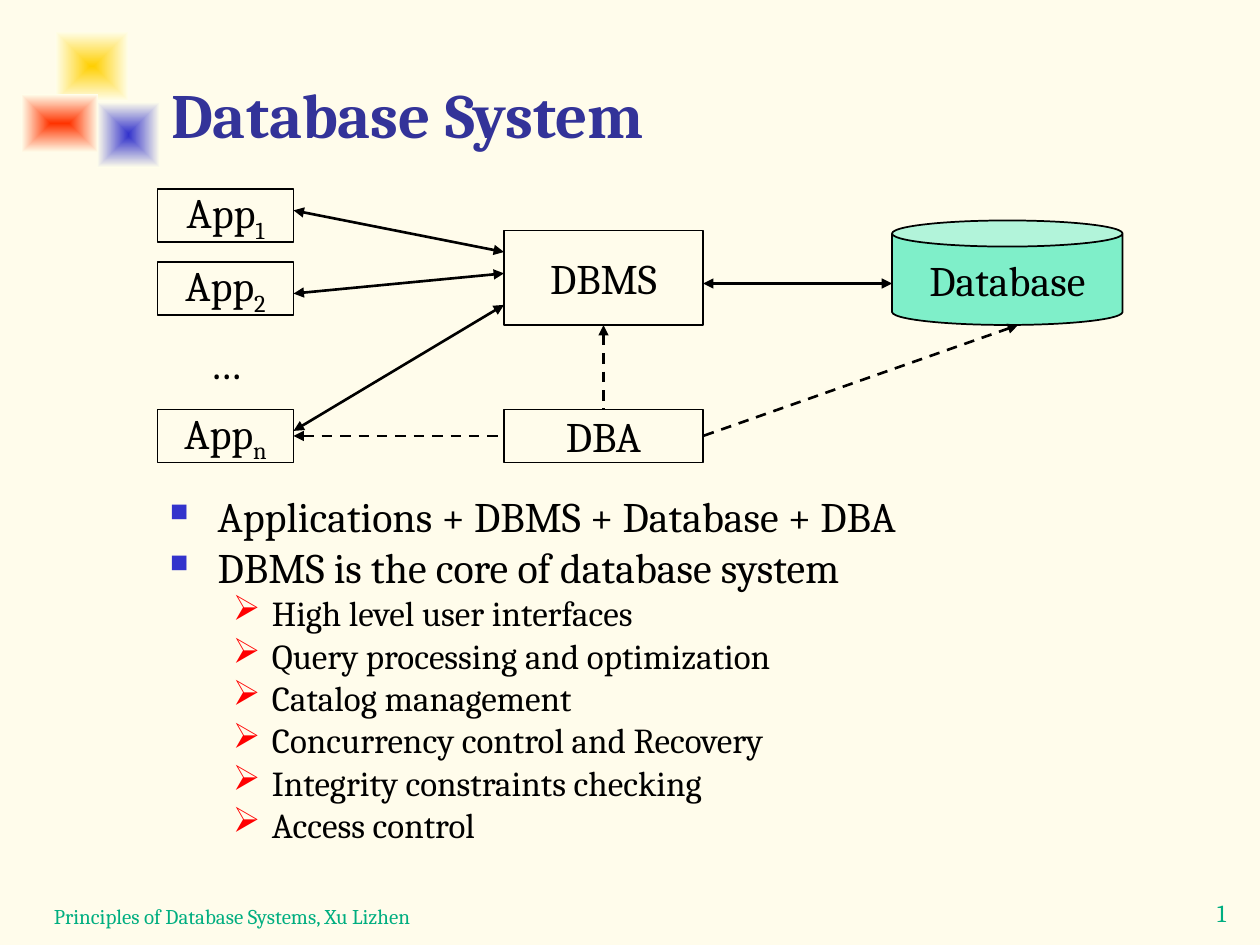
from lxml.etree import SubElement
from pptx import Presentation
from pptx.dml.color import RGBColor
from pptx.enum.dml import MSO_LINE
from pptx.enum.shapes import MSO_CONNECTOR, MSO_SHAPE as SHAPE
from pptx.enum.text import MSO_ANCHOR as ANCHOR, PP_ALIGN as ALIGN
from pptx.oxml.ns import qn
from pptx.util import Inches, Pt

COLORS = {
    "background": "FFFCEB", "fade": "FFFEEB", "yellow": "FFCF01",
    "blue": "3333CC", "red": "FF3300", "title": "333399", "footer": "00AE80",
    "text": "000000", "marker": "FF0000", "database": "00E4A8",
}
FONT = "Cambria"
TOP, LEFT, BOTTOM, RIGHT = range(4)


def color(name):
    return RGBColor.from_string(COLORS[name])


def add_xml(parent, tag, **attributes):
    return SubElement(parent, qn(tag), attributes)


def write(paragraph, text, size=24, ink="text", bold=False, subscript=False):
    run = paragraph.add_run()
    run.text = text
    run.font.name, run.font.size, run.font.bold = FONT, Pt(size), bold
    run.font.color.rgb = color(ink)
    if subscript:
        run.font._element.set("baseline", "-25000")


class SlideBuilder:
    line_width = Pt(1)
    arrow_width = Pt(1.5)

    def __init__(self, slide):
        self.slide = slide
        slide.background.fill.solid()
        slide.background.fill.fore_color.rgb = color("background")

    def text(self, box, text="", anchor=ANCHOR.TOP, align=ALIGN.LEFT, wrap=True, **style):
        frame = self.slide.shapes.add_textbox(*map(Inches, box)).text_frame
        frame.word_wrap, frame.vertical_anchor = wrap, anchor
        frame.paragraphs[0].alignment = align
        if text:
            write(frame.paragraphs[0], text, **style)
        return frame

    def shape(self, kind, box):
        shape = self.slide.shapes.add_shape(kind, *map(Inches, box))
        shape.shadow.inherit = False
        return shape

    def glow(self, box, center):
        square = self.shape(SHAPE.RECTANGLE, box)
        square.line.fill.background()
        square.fill.gradient()
        for stop, name in zip(square.fill.gradient_stops, (center, "fade")):
            stop.color.rgb = color(name)
        gradient = square._element.spPr.find(qn("a:gradFill"))
        gradient.remove(gradient.find(qn("a:lin")))
        rings = add_xml(gradient, "a:path", path="rect")
        add_xml(rings, "a:fillToRect", l="50000", t="50000", r="50000", b="50000")

    def node(self, box, label, subscript="", kind=SHAPE.RECTANGLE, fill=None):
        node = self.shape(kind, box)
        node.line.color.rgb, node.line.width = color("text"), self.line_width
        if fill:
            node.fill.solid()
            node.fill.fore_color.rgb = color(fill)
            tint = node._element.spPr.find(qn("a:solidFill"))[0]
            add_xml(tint, "a:alpha", val="50000")
        else:
            node.fill.background()
        frame = node.text_frame
        frame.word_wrap, frame.vertical_anchor = False, ANCHOR.MIDDLE
        frame.paragraphs[0].alignment = ALIGN.CENTER
        write(frame.paragraphs[0], label)
        if subscript:
            write(frame.paragraphs[0], subscript, subscript=True)
        return node

    def arrow(self, start, end, dashed=False, begin_at=None, end_at=None):
        arrow = self.slide.shapes.add_connector(
            MSO_CONNECTOR.STRAIGHT, *map(Inches, start + end))
        arrow.line.color.rgb, arrow.line.width = color("text"), self.arrow_width
        if dashed:
            arrow.line.dash_style = MSO_LINE.DASH
        stroke = arrow.line._get_or_add_ln()
        add_xml(stroke, "a:headEnd", type="triangle")
        if not dashed:
            add_xml(stroke, "a:tailEnd", type="triangle")
        add_xml(arrow._element.spPr, "a:effectLst")
        if begin_at:
            arrow.begin_connect(*begin_at)
        if end_at:
            arrow.end_connect(*end_at)

    def bullets(self, box, items):
        # Per level: text size, left margin, hanging, space before, mark, colour, mark %
        levels = (
            (24, 0.38, 0.38, 6, "■", "blue", 60),
            (20, 0.81, 0.31, 5, "➢", "marker", 100),
        )
        frame = self.text(box)
        for index, (level, text) in enumerate(items):
            size, margin, hanging, before, mark, mark_color, percent = levels[level]
            paragraph = frame.add_paragraph() if index else frame.paragraphs[0]
            paragraph.level = level
            paragraph.line_spacing, paragraph.space_before = 0.8, Pt(before)
            props = paragraph._p.get_or_add_pPr()
            props.set("marL", str(Inches(margin)))
            props.set("indent", str(-Inches(hanging)))
            add_xml(add_xml(props, "a:buClr"), "a:srgbClr", val=COLORS[mark_color])
            add_xml(props, "a:buSzPct", val=str(percent * 1000))
            add_xml(props, "a:buChar", char=mark)
            write(paragraph, text, size=size)


def main():
    deck = Presentation()
    deck.slide_width, deck.slide_height = Inches(10), Inches(7.5)
    page = SlideBuilder(deck.slides.add_slide(deck.slide_layouts[6]))

    # Corner decoration
    page.glow((0.44, 0.25, 0.58, 0.55), "yellow")
    page.glow((0.77, 0.81, 0.5, 0.52), "blue")
    page.glow((0.17, 0.75, 0.61, 0.46), "red")

    # Page number, footer and title
    page.text((9.1, 7.08, 1.19, 0.38), "1", align=ALIGN.CENTER, wrap=False,
              size=14, ink="footer")
    page.text((0.33, 6.92, 6.5, 0.5), "Principles of Database Systems, Xu Lizhen",
              anchor=ANCHOR.BOTTOM, size=12, ink="footer")
    page.text((1.26, 0.17, 8.52, 1.08), "Database System", anchor=ANCHOR.BOTTOM,
              size=36, ink="title", bold=True)

    # Main points
    page.bullets((1.25, 3.92, 8.54, 3), (
        (0, "Applications + DBMS + Database + DBA"),
        (0, "DBMS is the core of database system"),
        (1, "High level user interfaces"),
        (1, "Query processing and optimization"),
        (1, "Catalog management"),
        (1, "Concurrency control and Recovery"),
        (1, "Integrity constraints checking"),
        (1, "Access control"),
    ))

    # Application column, evenly spaced
    slots = [(1.25, round(1.5 + row * 1.75 / 3, 2), 1.08, 0.42) for row in range(4)]
    page.node(slots[0], "App", "1")
    page.node(slots[1], "App", "2")
    page.text(slots[2], "…", anchor=ANCHOR.MIDDLE, align=ALIGN.CENTER, wrap=False)
    last_app = page.node(slots[3], "App", "n")

    # System parts
    dbms = page.node((4, 1.83, 1.58, 0.75), "DBMS")
    dba = page.node((4, 3.25, 1.58, 0.42), "DBA")
    page.node((7.08, 1.75, 1.83, 0.83), "Database", kind=SHAPE.CAN, fill="database")

    # Data flow
    for app_y, dbms_y in ((1.67, 2), (2.33, 2.17), (3.42, 2.42)):
        page.arrow((2.33, app_y), (4, dbms_y))
    page.arrow((5.58, 2.25), (7.08, 2.25))

    # Administration by the DBA
    page.arrow((2.33, 3.46), (4, 3.46), dashed=True,
               begin_at=(last_app, RIGHT), end_at=(dba, LEFT))
    page.arrow((4.79, 2.58), (4.79, 3.25), dashed=True,
               begin_at=(dbms, BOTTOM), end_at=(dba, TOP))
    page.arrow((8.08, 2.58), (5.58, 3.46), dashed=True, end_at=(dba, RIGHT))

    deck.save("out.pptx")


if __name__ == "__main__":
    main()
